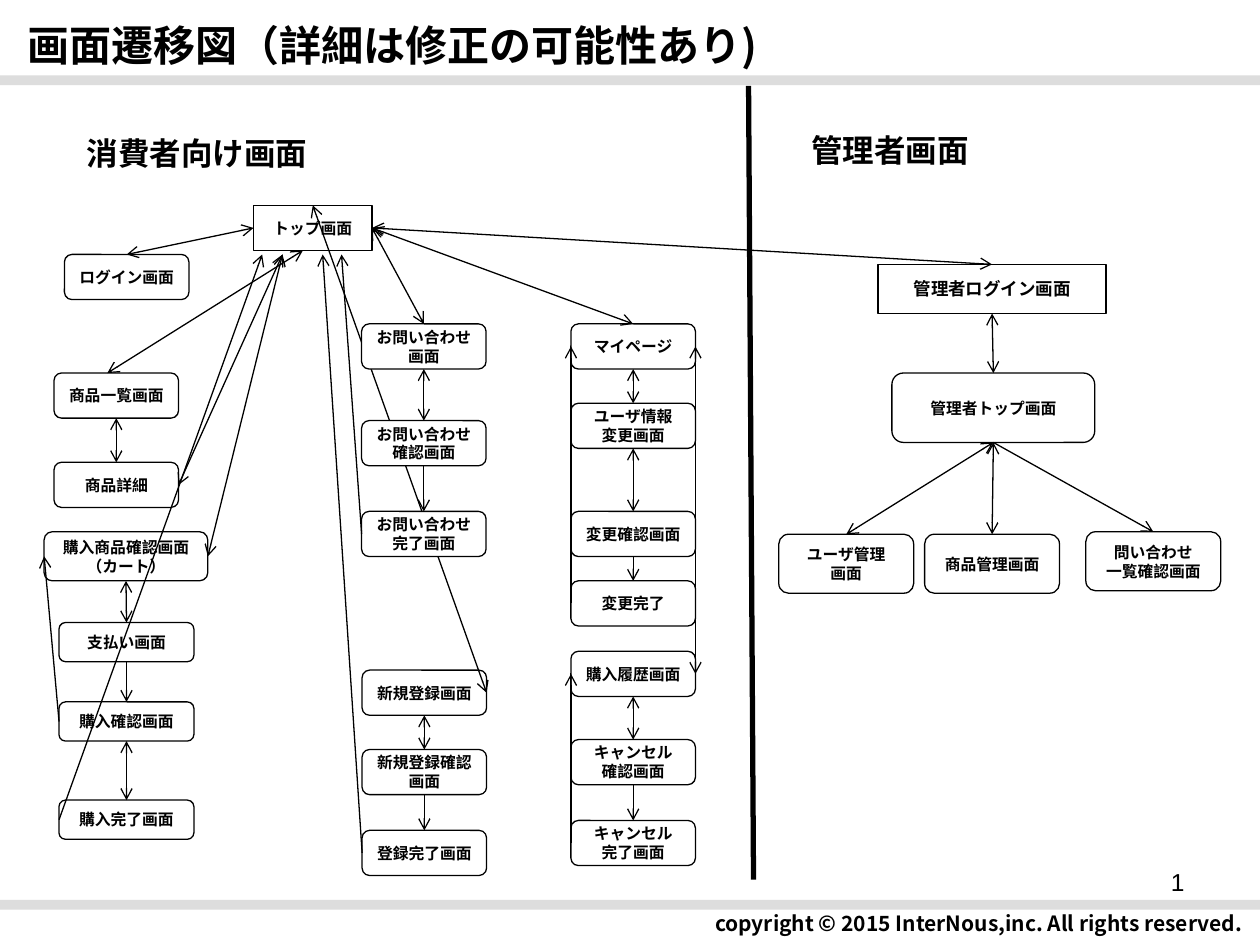
from lxml.etree import SubElement
from pptx import Presentation
from pptx.dml.color import RGBColor
from pptx.enum.shapes import MSO_CONNECTOR, MSO_SHAPE
from pptx.enum.text import MSO_ANCHOR, PP_ALIGN
from pptx.oxml.ns import qn
from pptx.util import Cm, Pt

COLORS = {"ink": "000000", "paper": "FFFFFF", "bar": "DDDDDD"}
LATIN, JAPANESE = "Arial", "Noto Sans CJK JP"
TOP, LEFT, BOTTOM, RIGHT = range(4)
SITES = {TOP: (0.5, 0), LEFT: (0, 0.5), BOTTOM: (0.5, 1), RIGHT: (1, 0.5)}
CARD = (2.51, 0.91)
STEP = (2.72, 0.79)
BRANCH = (2.72, 1.19)


def color(name):
    return RGBColor.from_string(COLORS[name])


def place(region, left, top, width, height):
    return [Cm(value) for value in (region[0] + left, region[1] + top, width, height)]


def write(shape, lines, size, bold=True, font=LATIN, align=PP_ALIGN.LEFT,
          anchor=MSO_ANCHOR.MIDDLE, wrap=True):
    frame = shape.text_frame
    frame.word_wrap = wrap
    frame.vertical_anchor = anchor
    for index, line in enumerate(lines):
        paragraph = frame.add_paragraph() if index else frame.paragraphs[0]
        paragraph.alignment = align
        run = paragraph.add_run()
        run.text = line
        run.font.size = Pt(size)
        run.font.bold = bold
        run.font.name = font
        run.font.color.rgb = color("ink")
        SubElement(run.font._element, qn("a:ea"), typeface=JAPANESE)


def add_label(slide, bounds, text, size, **style):
    write(slide.shapes.add_textbox(*bounds), [text], size, **style)


def add_bar(slide, bounds):
    bar = slide.shapes.add_shape(MSO_SHAPE.RECTANGLE, *bounds)
    bar.shadow.inherit = False
    bar.fill.solid()
    bar.fill.fore_color.rgb = color("bar")
    bar.line.fill.background()


def add_screen(slide, bounds, text, size=9, font=LATIN, kind=MSO_SHAPE.ROUNDED_RECTANGLE):
    screen = slide.shapes.add_shape(kind, *bounds)
    screen.shadow.inherit = False
    screen.fill.solid()
    screen.fill.fore_color.rgb = color("paper")
    screen.line.color.rgb = color("ink")
    screen.line.width = Pt(0.75)
    write(screen, text.split("\n"), size, font=font, align=PP_ALIGN.CENTER)
    return screen


def add_column(slide, region, left, size, steps):
    return [add_screen(slide, place(region, left, top, *size), text) for top, text in steps]


def add_line(slide, start, end, width=0.75):
    line = slide.shapes.add_connector(MSO_CONNECTOR.STRAIGHT, *start, *end)
    line.line.color.rgb = color("ink")
    line.line.width = Pt(width)
    SubElement(line._element.spPr, qn("a:effectLst"))
    return line


def site_point(screen, site, dx=0, dy=0):
    across, down = SITES[site]
    return (int(screen.left + screen.width * across + Cm(dx)),
            int(screen.top + screen.height * down + Cm(dy)))


def add_link(slide, start, end, both=True):
    link = add_line(slide, site_point(*start), site_point(*end))
    if len(start) == 2:
        link.begin_connect(*start)
    if len(end) == 2:
        link.end_connect(*end)
    outline = link.line._get_or_add_ln()
    for tag in ("a:headEnd", "a:tailEnd") if both else ("a:tailEnd",):
        SubElement(outline, qn(tag), type="arrow")


def chain(slide, screens, both_ways):
    for upper, lower, both in zip(screens, screens[1:], both_ways):
        if both is not None:
            add_link(slide, (upper, BOTTOM), (lower, TOP), both)


def add_frame(slide, region):
    add_label(slide, place(region, 0.3, 0.13, 17.81, 1.55), "画面遷移図（詳細は修正の可能性あり)",
              24, font=JAPANESE, wrap=False)
    add_label(slide, place(region, 7.49, 18.14, 17.81, 0.94),
              "copyright © 2015 InterNous,inc. All rights reserved.",
              12, font=JAPANESE, align=PP_ALIGN.RIGHT, wrap=False)
    for top in (1.52, 18.14):
        add_bar(slide, place(region, 0, top, 25.5, 0.2))
    add_label(slide, place(region, 18.21, 17.35, 5.92, 1.32), "1", 14, bold=False,
              align=PP_ALIGN.RIGHT, anchor=MSO_ANCHOR.TOP)
    add_line(slide, (Cm(15.09), Cm(1.73)), (Cm(15.19), Cm(17.73)), 3)


def add_shopping(slide, region, home):
    login = add_screen(slide, place(region, 1.3, 3.4, *CARD), "ログイン画面")
    catalog, detail = add_column(slide, region, 1.09, CARD, [
        (5.79, "商品一覧画面"), (7.59, "商品詳細")])
    cart = add_screen(slide, place(region, 0.89, 8.99, 3.3, 0.99), "購入商品確認画面\n（カート）")
    steps = add_column(slide, region, 1.19, STEP, [
        (10.82, "支払い画面"), (12.42, "購入確認画面"), (14.4, "購入完了画面")])
    chain(slide, [catalog, detail], [True])
    chain(slide, [cart, *steps], [True, False, True])
    add_link(slide, (home, LEFT), (login, TOP))
    add_link(slide, (home, BOTTOM, -0.2), (catalog, TOP, -0.18))
    add_link(slide, (home, BOTTOM, -0.61, 0.08), (cart, RIGHT))
    add_link(slide, (detail, RIGHT), (home, BOTTOM, -0.61, 0.08))
    add_link(slide, (steps[2], LEFT), (home, BOTTOM, -1.02, 0.08), False)
    add_link(slide, (steps[1], LEFT), (cart, LEFT), False)


def add_account(slide, region, home):
    screens = add_column(slide, region, 11.51, CARD, [
        (4.8, "マイページ"), (6.4, "ユーザ情報\n変更画面"), (8.58, "変更確認画面"),
        (9.98, "変更完了"), (11.4, "購入履歴画面"), (13.18, "キャンセル\n確認画面"),
        (14.81, "キャンセル\n完了画面")])
    account, changed, history, cancelled = (screens[index] for index in (0, 3, 4, 6))
    chain(slide, screens, [True, True, False, None, True, False])
    add_link(slide, (home, RIGHT), (account, TOP))
    add_link(slide, (account, RIGHT), (history, RIGHT))
    add_link(slide, (changed, LEFT), (account, LEFT), False)
    add_link(slide, (cancelled, LEFT), (history, LEFT), False)


def add_registration(slide, region, home):
    screens = add_column(slide, region, 7.3, CARD, [
        (11.78, "新規登録画面"), (13.38, "新規登録確認画面"), (15.01, "登録完了画面")])
    chain(slide, screens, [True, False])
    add_link(slide, (home, TOP), (screens[0], RIGHT))
    add_link(slide, (screens[2], LEFT), (home, BOTTOM, 0.2, 0.08), False)


def add_inquiry(slide, region, home):
    screens = add_column(slide, region, 7.29, CARD, [
        (4.8, "お問い合わせ画面"), (6.75, "お問い合わせ確認画面"), (8.58, "お問い合わせ完了画面")])
    chain(slide, screens, [True, False])
    add_link(slide, (home, RIGHT), (screens[0], TOP))
    add_link(slide, (screens[2], LEFT), (home, BOTTOM, 0.58, 0.08), False)


def add_consumer(slide, region):
    add_label(slide, place(region, 1.5, 0.58, 5.28, 1.55), "消費者向け画面", 18,
              font=JAPANESE, wrap=False)
    home = add_screen(slide, place(region, 5.11, 2.41, 2.39, 0.91), "トップ画面",
                      kind=MSO_SHAPE.RECTANGLE)
    for add_part in (add_shopping, add_account, add_registration, add_inquiry):
        add_part(slide, region, home)
    return home


def add_admin(slide, region):
    add_label(slide, place(region, 1, 0.78, 3.68, 1.02), "管理者画面", 18,
              anchor=MSO_ANCHOR.TOP, wrap=False)
    login = add_screen(slide, place(region, 2.6, 3.6, 4.6, 0.99), "管理者ログイン画面", 10,
                       kind=MSO_SHAPE.RECTANGLE)
    home = add_screen(slide, place(region, 2.88, 5.79, 4.09, 1.4), "管理者トップ画面")
    add_link(slide, (login, BOTTOM), (home, TOP))
    for left, top, text, both in ((0.6, 9.04, "ユーザ管理\n画面", True),
                                  (3.54, 9.04, "商品管理画面", True),
                                  (6.79, 8.99, "問い合わせ\n一覧確認画面", False)):
        branch = add_screen(slide, place(region, left, top, *BRANCH), text, font=JAPANESE)
        add_link(slide, (home, BOTTOM), (branch, TOP), both)
    return login


def main():
    presentation = Presentation()
    presentation.slide_width, presentation.slide_height = Cm(25.4), Cm(19.05)
    slide = presentation.slides.add_slide(presentation.slide_layouts[6])
    add_frame(slide, (0, 0))
    consumer_home = add_consumer(slide, (0, 1.73))
    admin_login = add_admin(slide, (15.1, 1.73))
    add_link(slide, (consumer_home, RIGHT), (admin_login, TOP))
    presentation.save("out.pptx")


if __name__ == "__main__":
    main()
